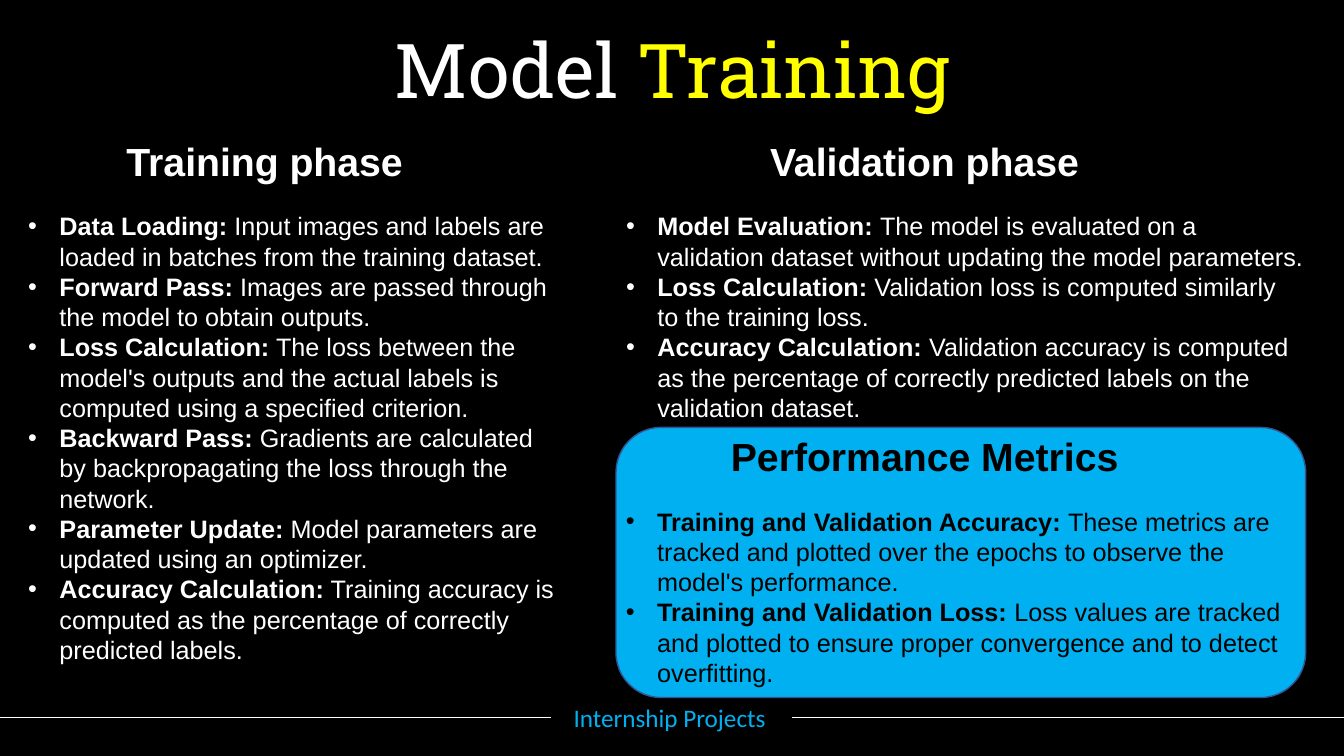
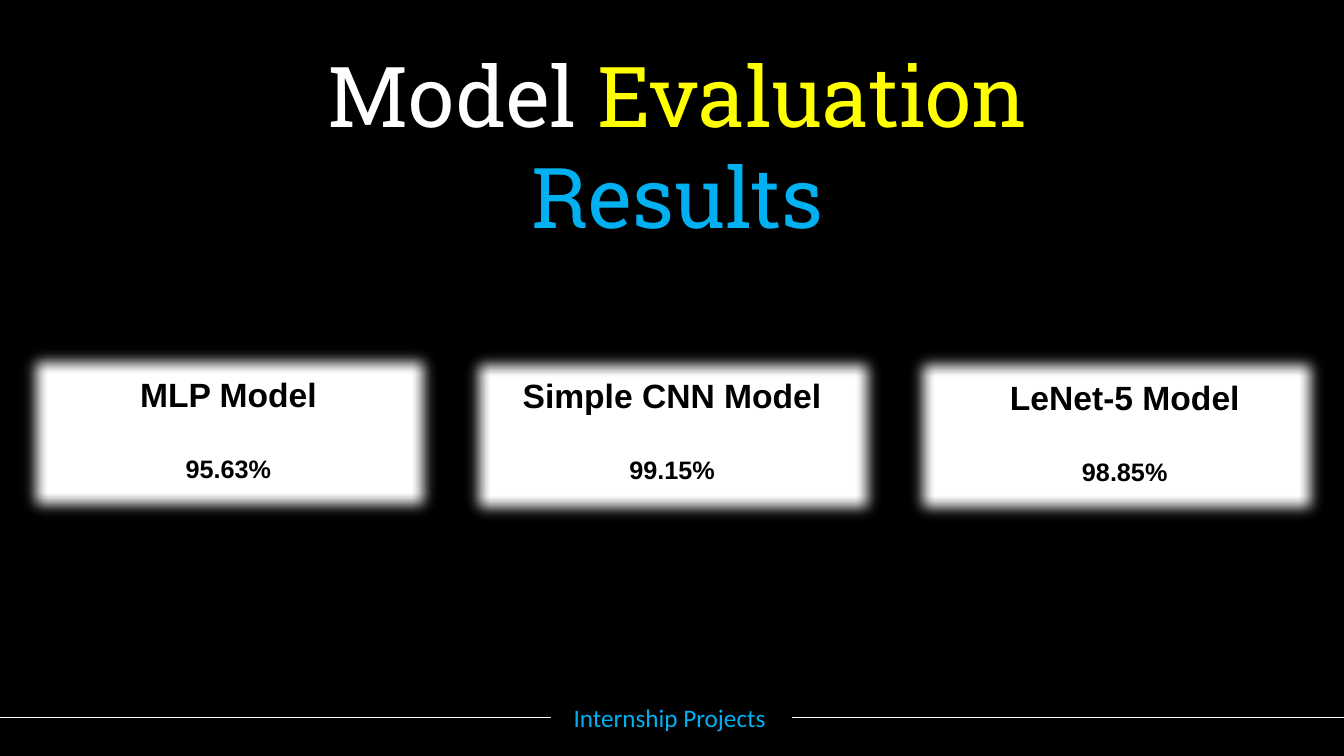
from dataclasses import dataclass

from lxml.etree import SubElement
from pptx import Presentation
from pptx.dml.color import RGBColor
from pptx.enum.shapes import MSO_CONNECTOR as Connector, MSO_SHAPE as Shape
from pptx.enum.text import MSO_ANCHOR as Anchor, MSO_AUTO_SIZE as AutoSize, PP_ALIGN as Align
from pptx.oxml.ns import qn
from pptx.util import Inches, Pt


@dataclass(frozen=True)
class Theme:
    black: str = "000000"
    white: str = "FFFFFF"
    yellow: str = "FFFF00"
    blue: str = "00B0F0"
    outline: str = "325491"
    title_font: str = "Roboto Slab"
    text_font: str = "Arial"
    footer_font: str = "Calibri"
    title_size: int = 54
    heading_size: int = 28
    card_size: int = 24
    text_size: int = 18
    footer_text: str = "Internship Projects"


COMPARISON, TITLE_ONLY = 4, 5

TRAINING = [
    ("Data Loading:", " Input images and labels are loaded in batches from the training dataset."),
    ("Forward Pass:", " Images are passed through the model to obtain outputs."),
    ("Loss Calculation:", " The loss between the model's outputs and the actual labels is "
     "computed using a specified criterion."),
    ("Backward Pass:", " Gradients are calculated by backpropagating the loss through the network."),
    ("Parameter Update:", " Model parameters are updated using an optimizer."),
    ("Accuracy Calculation:", " Training accuracy is computed as the percentage of correctly "
     "predicted labels."),
]
VALIDATION = [
    ("Model Evaluation: ", "The model is evaluated on a validation dataset without updating "
     "the model parameters."),
    ("Loss Calculation: ", "Validation loss is computed similarly to the training loss."),
    ("Accuracy Calculation: ", "Validation accuracy is computed as the percentage of correctly "
     "predicted labels on the validation dataset."),
]
METRICS = [
    ("Training and Validation Accuracy: ", "These metrics are tracked and plotted over the "
     "epochs to observe the model's performance."),
    ("Training and Validation Loss: ", "Loss values are tracked and plotted to ensure proper "
     "convergence and to detect overfitting."),
]
RESULTS = [
    ("MLP Model", "95.63%", 3.38, 0.62, 3.66),
    ("Simple CNN Model", "99.15%", 3.41, 5.02, 3.67),
    ("LeNet-5 Model", "98.85%", 3.41, 9.51, 3.69),
]


class Deck:
    """Hold the theme and the current slide, and draw each kind of element."""

    def __init__(self, theme):
        self.theme = theme
        self.prs = Presentation()
        self.prs.slide_width, self.prs.slide_height = Inches(13.33), Inches(7.5)
        background = self.prs.slide_master.background.fill
        background.solid()
        background.fore_color.rgb = RGBColor.from_string(theme.black)
        self.slide = None

    def new_slide(self, layout):
        self.slide = self.prs.slides.add_slide(self.prs.slide_layouts[layout])
        self.footer()

    def frame(self, box, holder=None):
        place = [Inches(value) for value in box]
        if holder is None:
            target = self.slide.shapes.add_textbox(*place)
        else:
            target = self.slide.placeholders[holder]
            target.left, target.top, target.width, target.height = place
        frame = target.text_frame
        frame.word_wrap = True
        frame.auto_size = AutoSize.NONE
        frame.vertical_anchor = Anchor.TOP
        return frame

    def paragraph(self, frame, first, align=Align.LEFT, before=0):
        paragraph = frame.paragraphs[0] if first else frame.add_paragraph()
        paragraph.alignment = align
        paragraph.space_before = Pt(before)
        return paragraph

    def run(self, paragraph, text, size, color, font=None, bold=False):
        run = paragraph.add_run()
        run.text = text
        run.font.name = font or self.theme.text_font
        run.font.size = Pt(size)
        run.font.bold = bold
        run.font.color.rgb = RGBColor.from_string(color)

    def title(self, box, size, parts):
        paragraph = self.paragraph(self.frame(box, 0), True, Align.CENTER)
        for text, color in parts:
            self.run(paragraph, text, size, color, self.theme.title_font)

    def heading(self, box, text, color, holder=None):
        paragraph = self.paragraph(self.frame(box, holder), True, Align.CENTER)
        self.run(paragraph, text, self.theme.heading_size, color, bold=True)

    def bullets(self, box, items, color, holder=None):
        frame = self.frame(box, holder)
        for index, (term, detail) in enumerate(items):
            paragraph = self.paragraph(frame, index == 0)
            properties = paragraph._p.get_or_add_pPr()
            properties.set("marL", str(Inches(0.31)))
            properties.set("indent", str(-Inches(0.31)))
            SubElement(properties, qn("a:buFont"), typeface=self.theme.text_font)
            SubElement(properties, qn("a:buChar"), char="•")
            self.run(paragraph, term, self.theme.text_size, color, bold=True)
            self.run(paragraph, detail, self.theme.text_size, color)

    def panel(self, kind, box, color, outline=None, soft_edge=0):
        panel = self.slide.shapes.add_shape(kind, *[Inches(value) for value in box])
        panel.shadow.inherit = False
        panel.fill.solid()
        panel.fill.fore_color.rgb = RGBColor.from_string(color)
        if outline:
            panel.line.color.rgb = RGBColor.from_string(outline)
            panel.line.width = Pt(1)
        else:
            panel.line.fill.background()
        if soft_edge:
            effects = panel._element.spPr.find(qn("a:effectLst"))
            SubElement(effects, qn("a:softEdge"), rad=str(Pt(soft_edge)))

    def rule(self, start, end, y):
        rule = self.slide.shapes.add_connector(
            Connector.STRAIGHT, Inches(start), Inches(y), Inches(end), Inches(y))
        rule.line.color.rgb = RGBColor.from_string(self.theme.white)
        rule.line.width = Pt(0.5)
        SubElement(rule._element.spPr, qn("a:effectLst"))

    def footer(self):
        for start, end in ((0, 5.47), (7.86, 13.33)):
            self.rule(start, end, 7.12)
        paragraph = self.paragraph(self.frame((5.59, 6.92, 2.27, 0.4)), True)
        self.run(paragraph, self.theme.footer_text, self.theme.text_size,
                 self.theme.blue, self.theme.footer_font)

    def score(self, box, model, accuracy):
        frame = self.frame(box)
        name = self.paragraph(frame, True, Align.CENTER)
        self.run(name, model, self.theme.card_size, self.theme.black, bold=True)
        value = self.paragraph(frame, False, Align.CENTER, before=28)
        self.run(value, accuracy, self.theme.text_size, self.theme.black, bold=True)


def training_slide(deck):
    theme = deck.theme
    deck.new_slide(COMPARISON)
    deck.title((3.14, 0.18, 7.06, 1.01), theme.title_size,
               [("Model ", theme.white), ("Training", theme.yellow)])
    deck.heading((-0.14, 1.31, 5.53, 0.57), "Training phase", theme.white, 1)
    deck.bullets((0.18, 2.04, 5.53, 4.64), TRAINING, theme.white, 2)
    deck.heading((5.71, 1.31, 6.92, 0.57), "Validation phase", theme.white, 3)
    deck.bullets((6.11, 2.04, 6.92, 2.52), VALIDATION, theme.white, 4)
    deck.panel(Shape.ROUNDED_RECTANGLE, (6.11, 4.24, 6.84, 2.68), theme.blue, theme.outline)
    deck.heading((5.71, 4.24, 6.92, 0.57), "Performance Metrics", theme.black)
    deck.bullets((6.11, 4.97, 6.92, 1.92), METRICS, theme.black)


def results_slide(deck):
    theme = deck.theme
    deck.new_slide(TITLE_ONLY)
    deck.title((3.05, 0.38, 7.34, 2.12), theme.title_size + 6,
               [("Model ", theme.white), ("Evaluation ", theme.yellow), ("Results", theme.blue)])
    for index, (model, accuracy, card_top, left, top) in enumerate(RESULTS):
        deck.panel(Shape.RECTANGLE, (0.14 + 4.4 * index, card_top, 4.27, 1.83),
                   theme.white, soft_edge=12.5)
        deck.score((left, top, 3.29, 1.21), model, accuracy)


def main():
    deck = Deck(Theme())
    training_slide(deck)
    results_slide(deck)
    deck.prs.save("out.pptx")


if __name__ == "__main__":
    main()
